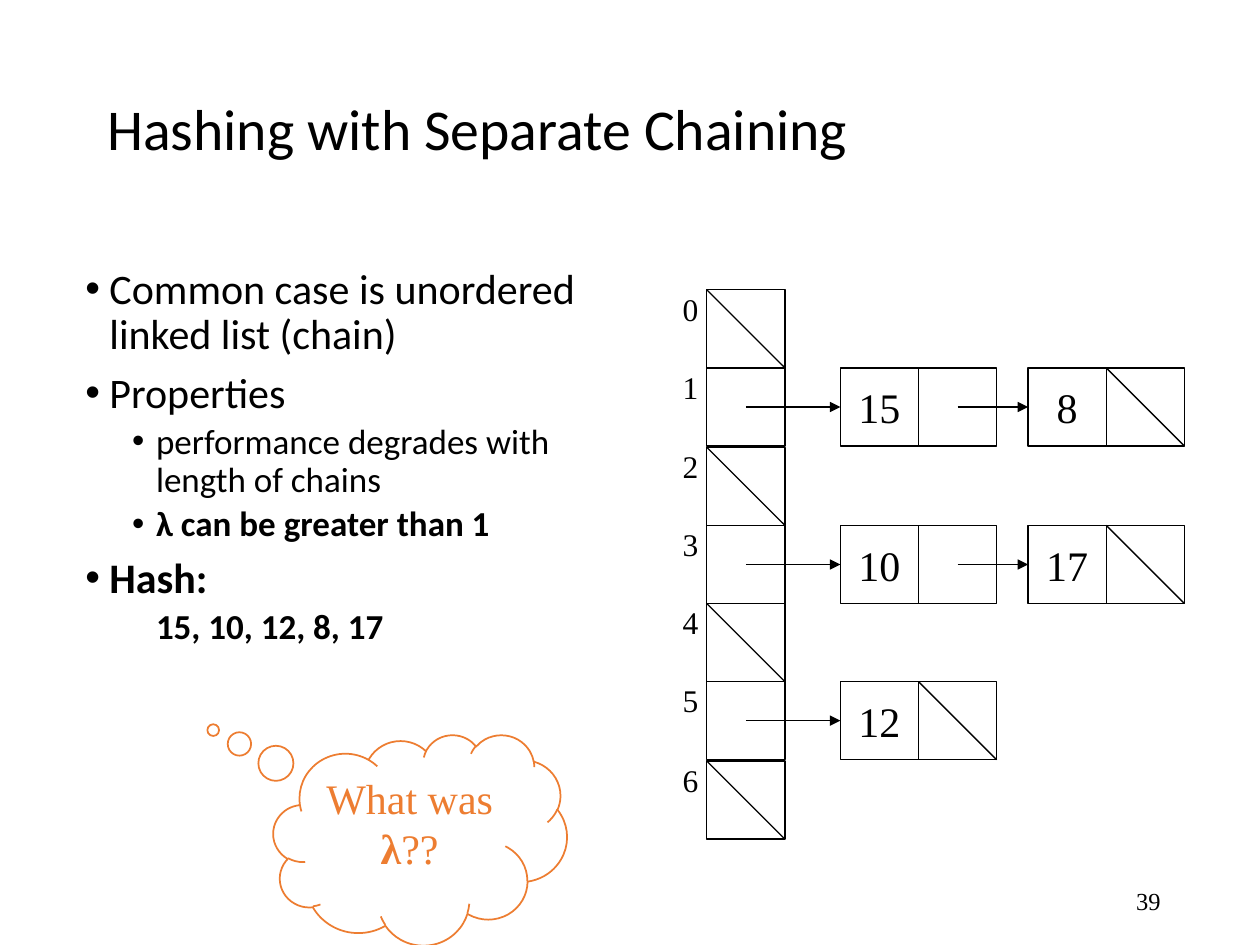
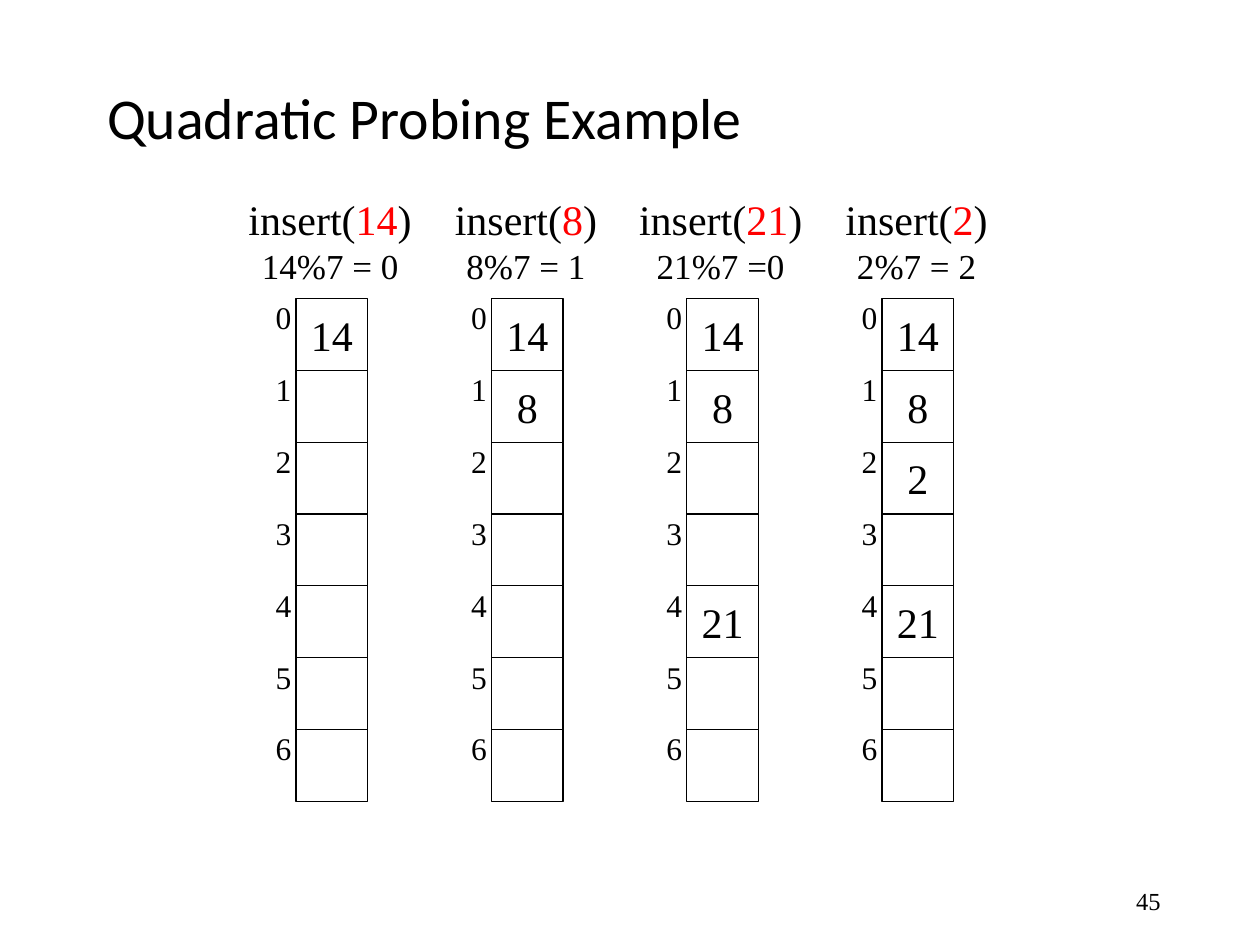
"""Build two slides on hash tables: separate chaining and quadratic probing."""
from dataclasses import dataclass

from lxml.etree import SubElement
from pptx import Presentation
from pptx.dml.color import RGBColor
from pptx.enum.shapes import MSO_CONNECTOR as Connector, MSO_SHAPE as Preset
from pptx.enum.text import MSO_ANCHOR as Anchor, MSO_AUTO_SIZE as AutoSize, PP_ALIGN as Align
from pptx.oxml.ns import qn
from pptx.shapes.autoshape import Shape
from pptx.slide import Slide
from pptx.text.text import TextFrame
from pptx.util import Emu, Pt

PX = 9144
COLORS = {"ink": "000000", "key": "FF0000", "thought": "ED7D31"}
SANS, SERIF = "Calibri", "Times New Roman"
SLOTS = 7


@dataclass(frozen=True)
class Run:
    """A piece of a line with its own colour or weight."""
    text: str
    color: str | None = None
    bold: bool | None = None


@dataclass(frozen=True)
class Line:
    """A paragraph of runs with one font."""
    runs: tuple[Run, ...]
    size: int
    font: str = SERIF
    color: str = "ink"
    align: Align = Align.CENTER


@dataclass(frozen=True)
class Point:
    """A paragraph of the outline."""
    text: str
    level: int = 0
    bold: bool = False
    bullet: bool = True


@dataclass(frozen=True)
class HashTable:
    """A column of equal slots with their indexes on the left."""
    left: int
    top: int
    height: int
    side: int
    index_gap: int

    def row_top(self, index: int) -> int:
        """Return the top of a slot."""
        return self.top + round(self.height * index / SLOTS)


@dataclass(frozen=True)
class Insertion:
    """One insert call, its hash and the slots filled after it."""
    key: str
    hashing: str
    slots: dict[int, int]


OUTLINE = (
    Point("Common case is unordered linked list (chain)"),
    Point("Properties"),
    Point("performance degrades with length of chains", 1),
    Point("λ can be greater than 1", 1, bold=True),
    Point("Hash:", bold=True),
    Point("15, 10, 12, 8, 17", 1, bold=True, bullet=False),
)
CHAINS = {1: (15, 8), 3: (10, 17), 5: (12,)}
NODE_LEFTS = (667, 816)
INSERTIONS = (
    Insertion("14", "14%7 = 0", {0: 14}),
    Insertion("8", "8%7 = 1", {0: 14, 1: 8}),
    Insertion("21", "21%7 =0", {0: 14, 1: 8, 4: 21}),
    Insertion("2", "2%7 = 2", {0: 14, 1: 8, 2: 2, 4: 21}),
)
INSERTION_PITCH = 155


def px(*lengths: int) -> tuple[Emu, ...]:
    """Turn pixels into EMU."""
    return tuple(Emu(length * PX) for length in lengths)


def rgb(name: str) -> RGBColor:
    """Look up a colour."""
    return RGBColor.from_string(COLORS[name])


def write(frame: TextFrame, *lines: Line) -> None:
    """Fill a text frame with lines."""
    for number, line in enumerate(lines):
        paragraph = frame.add_paragraph() if number else frame.paragraphs[0]
        paragraph.alignment = line.align
        paragraph.font.name, paragraph.font.size = line.font, Pt(line.size)
        paragraph.font.color.rgb = rgb(line.color)
        for part in line.runs:
            run = paragraph.add_run()
            run.text = part.text
            run.font.bold = part.bold
            if part.color:
                run.font.color.rgb = rgb(part.color)


def add_label(slide: Slide, box: tuple[int, int, int, int], *lines: Line) -> None:
    """Add a text box that fits its unwrapped lines."""
    frame = slide.shapes.add_textbox(*px(*box)).text_frame
    frame.word_wrap = False
    frame.auto_size = AutoSize.SHAPE_TO_FIT_TEXT
    write(frame, *lines)


def add_outlined(slide: Slide, preset: Preset, box: tuple[int, int, int, int],
                 color: str, width: float) -> Shape:
    """Add an unfilled shape with a thin outline."""
    shape = slide.shapes.add_shape(preset, *px(*box))
    shape.shadow.inherit = False
    shape.fill.background()
    shape.line.color.rgb = rgb(color)
    shape.line.width = Pt(width)
    return shape


def add_cell(slide: Slide, left: int, top: int, side: int, value: int | None = None) -> Shape:
    """Add a square cell, with a value if it holds one."""
    cell = add_outlined(slide, Preset.RECTANGLE, (left, top, side, side), "ink", 0.75)
    if value is not None:
        frame = cell.text_frame
        frame.word_wrap = False
        frame.vertical_anchor = Anchor.MIDDLE
        write(frame, Line((Run(str(value)),), 24))
    return cell


def add_line(slide: Slide, start: tuple[int, int], end: tuple[int, int],
             target: Shape | None = None) -> None:
    """Draw a line, or an arrow joined to the left side of its target."""
    connector = slide.shapes.add_connector(Connector.STRAIGHT, *px(*start, *end))
    connector.line.color.rgb = rgb("ink")
    connector.line.width = Pt(0.75)
    if target is not None:
        connector.end_connect(target, 1)
        SubElement(connector.line._get_or_add_ln(), qn("a:tailEnd"), type="triangle")
    SubElement(connector._element.spPr, qn("a:effectLst"))


def add_null(slide: Slide, left: int, top: int, side: int) -> None:
    """Strike a cell through as a null pointer."""
    add_line(slide, (left, top), (left + side, top + side))


def add_slots(slide: Slide, table: HashTable, values: dict[int, int]) -> None:
    """Draw the slots of a hash table and their indexes."""
    for index in range(SLOTS):
        top = table.row_top(index)
        add_cell(slide, table.left, top, table.side, values.get(index))
        add_label(slide, (table.left - table.index_gap, top - 5, 33, 40),
                  Line((Run(str(index)),), 18, align=Align.LEFT))


def add_chain(slide: Slide, table: HashTable, index: int, keys: tuple[int, ...]) -> None:
    """Draw the linked list that starts in a slot."""
    top, side = table.row_top(index), table.side
    half = side // 2
    pointer_left = table.left
    for left, key in zip(NODE_LEFTS, keys):
        node = add_cell(slide, left, top, side, key)
        add_line(slide, (pointer_left + half, top + half), (left, top + half), node)
        pointer_left = left + side
        add_cell(slide, pointer_left, top, side)
    add_null(slide, pointer_left, top, side)


def add_outline(slide: Slide) -> None:
    """Write the bulleted outline."""
    frame = slide.shapes.add_textbox(*px(58, 208, 442, 450)).text_frame
    frame.word_wrap = True
    for number, point in enumerate(OUTLINE):
        paragraph = frame.add_paragraph() if number else frame.paragraphs[0]
        paragraph.text = point.text
        paragraph.level = point.level
        paragraph.line_spacing = 0.9
        paragraph.space_before = Pt(3.8 if point.level else 7.5)
        paragraph.font.name = SANS
        paragraph.font.size = Pt(20 if point.level else 24)
        paragraph.font.bold = point.bold
        paragraph.font.color.rgb = rgb("ink")
        properties = paragraph._p.get_or_add_pPr()
        margin, hanging = px(56 if point.level else 19, -19 if point.bullet else 0)
        properties.set("marL", str(margin))
        properties.set("indent", str(hanging))
        if point.bullet:
            font = properties.find(qn("a:defRPr"))
            typeface = properties.makeelement(qn("a:buFont"), {"typeface": "Arial"})
            bullet = properties.makeelement(qn("a:buChar"), {"char": "•"})
            font.addprevious(typeface)
            font.addprevious(bullet)


def add_thought(slide: Slide) -> None:
    """Draw the cloud that asks about the load factor."""
    cloud = add_outlined(slide, Preset.CLOUD_CALLOUT, (217, 583, 233, 167), "thought", 1)
    cloud.adjustments[0], cloud.adjustments[1] = -0.705, -0.521
    cloud.text_frame.vertical_anchor = Anchor.TOP
    write(cloud.text_frame,
          Line((Run("What was"),), 24, color="thought"),
          Line((Run("λ", bold=True), Run("??")), 24, color="thought"))


def start_slide(deck: Presentation, title: str, title_top: int, number: int) -> Slide:
    """Add a slide with its title and page number."""
    slide = deck.slides.add_slide(deck.slide_layouts[5])
    heading = slide.shapes.title
    heading.left, heading.top, heading.width, heading.height = px(75, title_top, 850, 125)
    frame = heading.text_frame
    frame.auto_size = AutoSize.NONE
    frame.vertical_anchor = Anchor.MIDDLE
    write(frame, Line((Run(title),), 33, SANS, align=Align.LEFT))
    frame.paragraphs[0].line_spacing = 0.9
    page = slide.shapes.add_textbox(*px(706, 695, 225, 40)).text_frame
    page.word_wrap = True
    page.vertical_anchor = Anchor.MIDDLE
    write(page, Line((Run(str(number)),), 14, align=Align.RIGHT))
    return slide


def build_chaining(deck: Presentation) -> None:
    """Build the slide on separate chaining."""
    slide = start_slide(deck, "Hashing with Separate Chaining", 42, 39)
    table = HashTable(561, 230, 436, 62, 29)
    add_slots(slide, table, {})
    for index in range(SLOTS):
        if index in CHAINS:
            add_chain(slide, table, index, CHAINS[index])
        else:
            add_null(slide, table.left, table.row_top(index), table.side)
    add_outline(slide)
    add_thought(slide)


def build_probing(deck: Presentation) -> None:
    """Build the slide on quadratic probing."""
    slide = start_slide(deck, "Quadratic Probing Example", 33, 45)
    for step, insertion in enumerate(INSERTIONS):
        table = HashTable(235 + step * INSERTION_PITCH, 237, 399, 57, 26)
        add_slots(slide, table, insertion.slots)
        width = 116 + 17 * len(insertion.key)
        add_label(slide, (table.left + 27 - width // 2, 149, width, 83),
                  Line((Run("insert("), Run(insertion.key, "key"), Run(")")), 24),
                  Line((Run(insertion.hashing),), 20))


def main() -> None:
    """Build and save the deck."""
    deck = Presentation()
    deck.slide_width, deck.slide_height = px(1000, 750)
    build_chaining(deck)
    build_probing(deck)
    deck.save("out.pptx")


if __name__ == "__main__":
    main()
